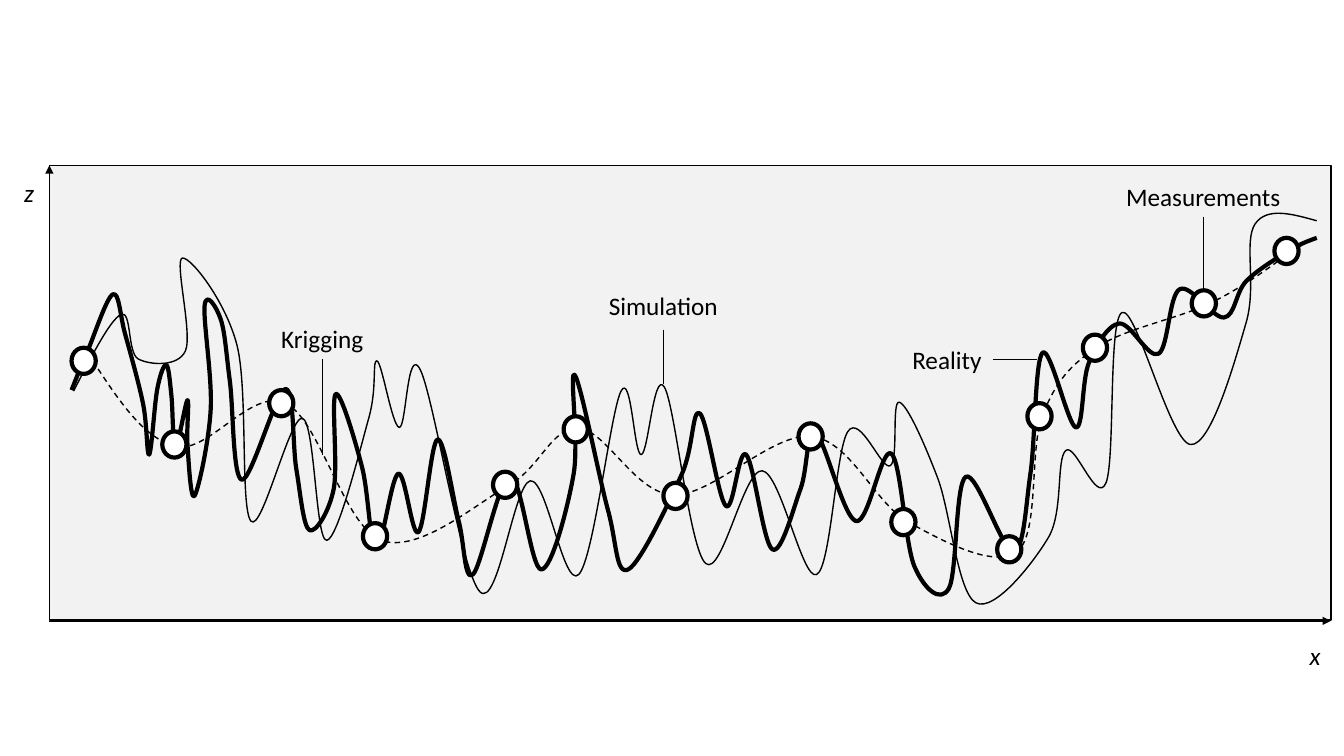
from lxml.etree import SubElement
from pptx import Presentation
from pptx.dml.color import RGBColor
from pptx.enum.dml import MSO_LINE
from pptx.enum.shapes import MSO_CONNECTOR, MSO_SHAPE
from pptx.enum.text import MSO_AUTO_SIZE
from pptx.oxml import parse_xml
from pptx.oxml.ns import nsdecls, qn
from pptx.util import Inches, Pt

COLS, ROWS = 1333, 750
CELL = Inches(0.01)
PLOT = (49, 164, 1271, 451)
INK, PALE, WHITE = "000000", "F2F2F2", "FFFFFF"
DOT_W, DOT_H = 24, 26
TEXT_H = 40

SIM = [
    (24, 224), (71, 148), (88, 192), (135, 184), (132, 92), (186, 178),
    (200, 353), (251, 251), (275, 372), (317, 250), (325, 194), (347, 260),
    (368, 203), (427, 423), (477, 313), (525, 406), (567, 224), (587, 287),
    (610, 220), (651, 395), (707, 303), (761, 406), (792, 264), (834, 298),
    (843, 235), (881, 310), (919, 434), (991, 369), (1008, 283), (1048, 315),
    (1064, 146), (1132, 277), (1187, 156), (1196, 58), (1257, 55),
]
KRIG = [
    (43, 194), (126, 279), (234, 236), (329, 372), (455, 318), (525, 261),
    (619, 327), (756, 269), (852, 354), (960, 383), (985, 248), (1040, 180),
    (1153, 136), (1235, 83),
]
REAL = [
    (22, 223), (38, 184), (63, 128), (75, 167), (93, 237), (99, 287),
    (107, 222), (116, 198), (121, 228), (125, 280), (137, 233), (137, 278),
    (144, 328), (160, 242), (154, 139), (170, 153), (179, 214), (191, 312),
    (234, 222), (245, 302), (258, 362), (282, 321), (284, 227), (310, 299),
    (324, 381), (346, 306), (366, 364), (385, 272), (406, 353), (420, 406),
    (457, 309), (488, 401), (520, 306), (521, 208), (554, 342), (574, 401),
    (627, 307), (645, 246), (671, 338), (691, 287), (717, 381), (745, 321),
    (760, 266), (800, 353), (835, 286), (858, 398), (892, 420), (909, 309),
    (956, 383), (973, 306), (985, 186), (1018, 260), (1031, 196), (1061, 157),
    (1100, 187), (1121, 123), (1165, 151), (1187, 115), (1229, 85), (1257, 72),
]
DOTS = [
    (22, 181), (112, 264), (218, 223), (311, 355), (440, 304), (510, 249),
    (609, 315), (743, 256), (835, 341), (940, 368), (970, 236), (1025, 168),
    (1133, 124), (1215, 72),
]
WELL = 12


def tint(code):
    return RGBColor.from_string(code)


def spot(box, x, y):
    return (box[0] + x) * CELL, (box[1] + y) * CELL


def pen(item, width):
    item.line.color.rgb = tint(INK)
    item.line.width = Pt(width)


def add_form(slide, box, kind, place, fill, width):
    x, y, w, h = place
    form = slide.shapes.add_shape(kind, *spot(box, x, y), w * CELL, h * CELL)
    form.shadow.inherit = False
    form.fill.solid()
    form.fill.fore_color.rgb = tint(fill)
    pen(form, width)
    return form


def add_text(slide, box, text, x, y, width, italic=False):
    label = slide.shapes.add_textbox(*spot(box, x, y), width * CELL, TEXT_H * CELL)
    frame = label.text_frame
    frame.word_wrap = False
    frame.auto_size = MSO_AUTO_SIZE.SHAPE_TO_FIT_TEXT
    run = frame.paragraphs[0].add_run()
    run.text = text
    run.font.name = "Calibri"
    run.font.size = Pt(18)
    run.font.italic = italic
    run.font.color.rgb = tint(INK)
    return label


def add_line(slide, box, start, end, arrow=False):
    line = slide.shapes.add_connector(
        MSO_CONNECTOR.STRAIGHT, *spot(box, *start), *spot(box, *end))
    pen(line, 0.5)
    if arrow:
        line.get_or_add_ln().append(
            parse_xml(f'<a:tailEnd {nsdecls("a")} type="triangle"/>'))
    SubElement(line.element.spPr, qn("a:effectLst"))
    return line


def halve(first, second):
    return tuple((a + b) / 2 for a, b in zip(first, second))


def pull(knot, back, ahead):
    return tuple(k + (a - b) / 6 for k, b, a in zip(knot, back, ahead))


def bend(curve):
    nodes = list(curve.element.xpath(".//a:path")[0])
    knots = [(int(n[0].get("x")), int(n[0].get("y"))) for n in nodes]
    last = len(knots) - 1
    for i, node in enumerate(nodes[1:]):
        start, end = knots[i], knots[i + 1]
        out = pull(start, knots[i - 1], end) if i else None
        into = pull(end, knots[i + 2], start) if i + 1 < last else None
        out = out or halve(start, into)
        into = into or halve(out, end)
        node.tag = qn("a:cubicBezTo")
        for slot, (x, y) in enumerate((out, into)):
            node.insert(slot, parse_xml(
                f'<a:pt {nsdecls("a")} x="{round(x)}" y="{round(y)}"/>'))


def add_curve(slide, box, knots, width, dash=None):
    trail = [spot(box, *knot) for knot in knots]
    maker = slide.shapes.build_freeform(*trail[0])
    maker.add_line_segments(trail[1:], close=False)
    curve = maker.convert_to_shape()
    curve.shadow.inherit = False
    curve.fill.background()
    pen(curve, width)
    curve.line.dash_style = dash
    bend(curve)


def draw_plot(slide, box):
    wide, high = box[2:]
    add_form(slide, box, MSO_SHAPE.RECTANGLE, (0, 0, wide, high), PALE, 1)
    add_curve(slide, box, SIM, 1)
    add_curve(slide, box, KRIG, 1, MSO_LINE.DASH)
    add_curve(slide, box, REAL, 3)
    dots = [add_form(slide, box, MSO_SHAPE.OVAL, (x, y, DOT_W, DOT_H), WHITE, 3)
            for x, y in DOTS]
    add_line(slide, box, (0, high), (0, 0), arrow=True)
    add_line(slide, box, (0, high + 1), (wide, high + 1), arrow=True)
    return dots


def draw_names(slide, box, dots):
    wide, high = box[2:]
    add_text(slide, box, "x", wide - 31, high + 15, 31, italic=True)
    add_text(slide, box, "z", -35, 7, 30, italic=True)
    for text, x, y, width, start, end, side in (
        ("Measurements", 1058, 11, 174, (1145, 51), (1145, 124), 2),
        ("Reality", 846, 173, 90, (936, 193), (980, 193), 3),
        ("Simulation", 545, 119, 130, (609, 163), (609, 217), None),
        ("Krigging", 220, 152, 102, (271, 192), (271, 287), 2),
    ):
        label = add_text(slide, box, text, x, y, width)
        line = add_line(slide, box, start, end)
        if side is not None:
            line.begin_connect(label, side)
        if text == "Measurements":
            line.end_connect(dots[WELL], 0)


def main():
    deck = Presentation()
    deck.slide_width, deck.slide_height = COLS * CELL, ROWS * CELL
    slide = deck.slides.add_slide(deck.slide_layouts[6])
    dots = draw_plot(slide, PLOT)
    draw_names(slide, PLOT, dots)
    deck.save("out.pptx")


if __name__ == "__main__":
    main()
